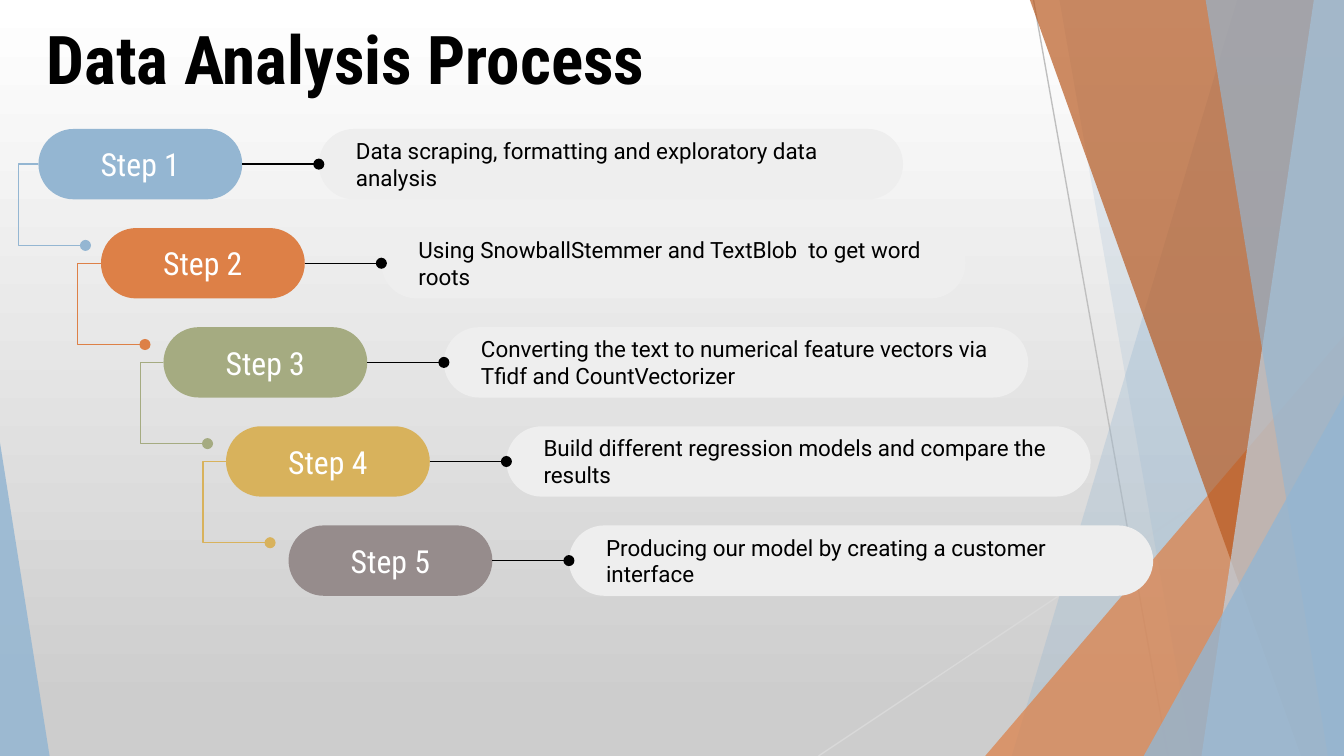
from dataclasses import dataclass

from lxml import etree
from pptx import Presentation
from pptx.dml.color import RGBColor
from pptx.enum import shapes, text
from pptx.oxml.ns import qn
from pptx.util import Pt

COLORS = {
    "black": "000000", "white": "FFFFFF", "bottom": "CDCDCD",
    "panel": "EEEEEE", "thread": "BFBFBF", "pale_thread": "D9D9D9",
    "blue": "94B6D2", "light_blue": "BFD3E4", "orange": "DD8047",
    "rust": "B95B22", "green": "A5AB81", "gold": "D8B25C", "taupe": "968C8C",
}
W, H, TOP = 720, 405, -0.7
STEP_DX, STEP_DY = 33.5, 53.1
PILL_X, PILL_Y, PILL_W, PILL_H = 20.6, 69.1, 109.2, 37.7
PANEL_DX, PANEL_W = 150.2, 313
HOOK_W, HOOK_H = 36, 43.5


@dataclass
class Band:
    """Decorative strip running from the top edge to the bottom edge."""
    top_x: float
    bottom_x: float
    color: str
    alpha: int


@dataclass
class Wedge:
    """Right triangle standing on the bottom edge."""
    x: float
    y: float
    w: float
    apex: int
    color: str
    alpha: int


@dataclass
class Step:
    color: str
    detail: str
    hook_dx: float = -12.4
    hook: bool = True


DECORATION = [
    Band(663, 542, "blue", 30),
    Band(567.4, 638.6, "blue", 20),
    Wedge(527.8, 180, 192.2, 1, "orange", 72),
    Band(551.5, 697, "rust", 70),
    Band(704, 643.7, "light_blue", 70),
    Band(645.8, 711.4, "blue", 65),
    Wedge(612.7, 211.7, 107.3, 1, "blue", 80),
    Wedge(0, 237, 26.6, 0, "blue", 85),
]
STEPS = [
    Step("blue", "Data scraping, formatting and exploratory data analysis", -10.8),
    Step("orange", "Using SnowballStemmer and TextBlob  to get word roots"),
    Step("green", "Converting the text to numerical feature vectors via "
                  "Tfidf and CountVectorizer"),
    Step("gold", "Build different regression models and compare the results"),
    Step("taupe", "Producing our model by creating a customer interface", hook=False),
]


def rgb(name: str) -> RGBColor:
    return RGBColor.from_string(COLORS[name])


def paint(sp, color: str, alpha: int = 100) -> None:
    sp.shadow.inherit = False
    sp.line.fill.background()
    sp.fill.solid()
    sp.fill.fore_color.rgb = rgb(color)
    if alpha < 100:
        clr = sp._element.spPr.find(qn("a:solidFill"))[0]
        etree.SubElement(clr, qn("a:alpha"), val=str(alpha * 1000))


def stroke(sp, color: str, dot: bool) -> None:
    sp.line.color.rgb = rgb(color)
    sp.line.width = Pt(0.75)
    if dot:
        etree.SubElement(sp.line._get_or_add_ln(), qn("a:tailEnd"), type="oval")


def draw_line(s, x1: float, y1: float, x2: float, y2: float,
              color: str, dot: bool = False) -> None:
    cx = s.shapes.add_connector(shapes.MSO_CONNECTOR.STRAIGHT,
                                Pt(x1), Pt(y1), Pt(x2), Pt(y2))
    stroke(cx, color, dot)
    etree.SubElement(cx._element.spPr, qn("a:effectLst"))


def draw_path(s, points: list[tuple[float, float]], close: bool):
    pts = [(Pt(x), Pt(y)) for x, y in points]
    fb = s.shapes.build_freeform(*pts[0])
    fb.add_line_segments(pts[1:], close=close)
    return fb.convert_to_shape()


def draw_band(s, b: Band) -> None:
    corners = [(b.top_x, TOP), (W, TOP), (W, H), (b.bottom_x, H)]
    paint(draw_path(s, corners, True), b.color, b.alpha)


def draw_wedge(s, w: Wedge) -> None:
    sp = s.shapes.add_shape(shapes.MSO_SHAPE.ISOSCELES_TRIANGLE,
                            Pt(w.x), Pt(w.y), Pt(w.w), Pt(H - w.y))
    sp.adjustments[0] = w.apex
    paint(sp, w.color, w.alpha)


def write(sp, words: str, font: str, size: float, color: str, bold: bool = False):
    tf = sp.text_frame
    tf.word_wrap = True
    tf.text = words
    p = tf.paragraphs[0]
    p.alignment = text.PP_ALIGN.LEFT
    f = p.runs[0].font
    f.name, f.size, f.bold = font, Pt(size), bold
    f.color.rgb = rgb(color)
    return tf


def draw_capsule(s, x: float, y: float, w: float, color: str, words: str,
                 font: str, size: float, ink: str, left: float = 7.2):
    sp = s.shapes.add_shape(shapes.MSO_SHAPE.ROUNDED_RECTANGLE,
                            Pt(x), Pt(y), Pt(w), Pt(PILL_H))
    sp.adjustments[0] = 0.5
    paint(sp, color)
    tf = write(sp, words, font, size, ink)
    tf.vertical_anchor = text.MSO_ANCHOR.MIDDLE
    tf.margin_left = Pt(left)
    tf.margin_right = tf.margin_top = tf.margin_bottom = Pt(7.2)
    return tf


def draw_step(s, i: int, step: Step) -> None:
    x, y = PILL_X + i * STEP_DX, PILL_Y + i * STEP_DY
    mid, panel_x = y + PILL_H / 2, x + PANEL_DX
    # Hook leading to the next step
    if step.hook:
        hx, end_y = x + step.hook_dx, mid + HOOK_H
        sp = draw_path(s, [(x, mid), (hx, mid), (hx, end_y),
                           (hx + HOOK_W, end_y)], False)
        sp.shadow.inherit = False
        sp.fill.background()
        stroke(sp, step.color, True)
    # Label, description and the link between them
    tf = draw_capsule(s, x, y, PILL_W, step.color, f"Step {i + 1}",
                      "Roboto Condensed", 17, "white")
    tf.paragraphs[0].alignment = text.PP_ALIGN.CENTER
    draw_capsule(s, panel_x, y, PANEL_W, "panel", step.detail,
                 "Roboto", 12, "black", 14.4)
    draw_line(s, x + PILL_W, mid, panel_x, mid, "black", True)


def main() -> None:
    prs = Presentation()
    prs.slide_width, prs.slide_height = Pt(W), Pt(H)
    s = prs.slides.add_slide(prs.slide_layouts[6])

    # Background gradient, top to bottom
    fill = s.background.fill
    fill.gradient()
    fill.gradient_angle = 270
    for stop, (pos, color) in zip(fill.gradient_stops,
                                  [(0, "white"), (0.94, "bottom")]):
        stop.position = pos
        stop.color.rgb = rgb(color)

    # Decoration
    draw_line(s, 553.7, 0, 625.7, H, "thread")
    draw_line(s, W, 217.4, 438.5, H, "pale_thread")
    for part in DECORATION:
        if isinstance(part, Band):
            draw_band(s, part)
        else:
            draw_wedge(s, part)

    # Title
    tb = s.shapes.add_textbox(Pt(18), Pt(5.8), Pt(355), Pt(51))
    write(tb, "Data Analysis Process", "Roboto Condensed", 36, "black", True)

    # Process steps
    for i, step in enumerate(STEPS):
        draw_step(s, i, step)

    prs.save("out.pptx")


if __name__ == "__main__":
    main()
